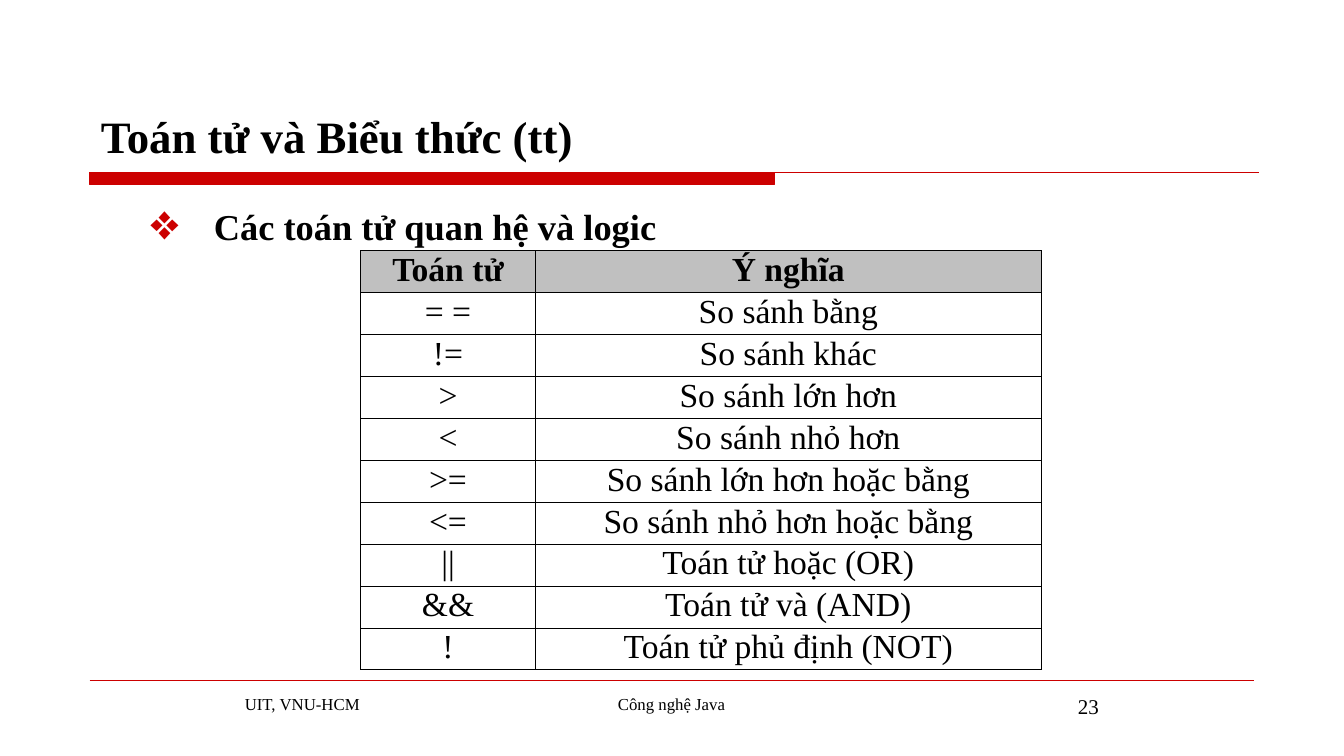
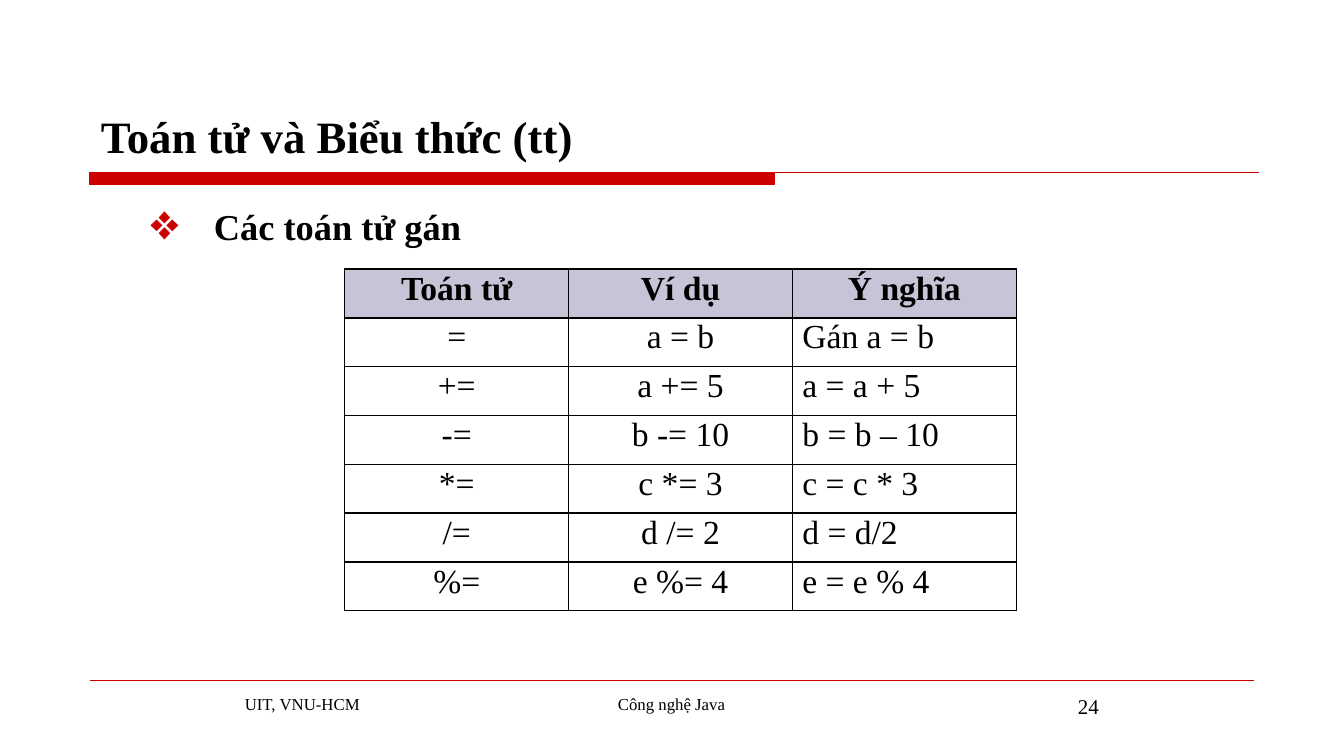
import pptx
import pptx.util
import pptx.dml.color
import pptx.enum.shapes
import pptx.enum.text
import pptx.oxml
import pptx.oxml.ns
import lxml.etree
from dataclasses import dataclass

Cm = pptx.util.Cm
Pt = pptx.util.Pt
Rgb = pptx.dml.color.RGBColor.from_string
Align = pptx.enum.text.PP_ALIGN
Anchor = pptx.enum.text.MSO_ANCHOR
qn = pptx.oxml.ns.qn


@dataclass(frozen=True)
class Theme:
    font: str = "Times New Roman"
    ink: str = "000000"
    red: str = "CC0000"
    gray: str = "C0C0C0"
    lilac: str = "C5C5D7"
    title: int = 32
    head: int = 26
    cell: int = 24
    page: int = 15
    foot: int = 12
    thin: float = 0.75
    thick: float = 1.08


THEME = Theme()


def apply(thing, values):
    for name, value in values.items():
        setattr(thing, name, value)


def place(shape, left, top, width, height):
    apply(shape, {"left": Cm(left), "top": Cm(top),
                  "width": Cm(width), "height": Cm(height)})


def write(frame, text, size, bold=False, align=Align.LEFT):
    frame.text = text
    line = frame.paragraphs[0]
    line.alignment = align
    font = line.runs[0].font
    apply(font, {"name": THEME.font, "size": Pt(size), "bold": bold})
    font.color.rgb = Rgb(THEME.ink)
    return line


def add_text(slide, box, text, size, **look):
    shape = slide.shapes.add_textbox(*map(Cm, box))
    shape.text_frame.word_wrap = True
    write(shape.text_frame, text, size, **look)
    return shape


def add_rule(slide, left, right, top):
    rule = slide.shapes.add_connector(
        pptx.enum.shapes.MSO_CONNECTOR.STRAIGHT,
        Cm(left), Cm(top), Cm(right), Cm(top))
    rule.line.color.rgb = Rgb(THEME.red)
    rule.line.width = Pt(THEME.thin)
    lxml.etree.SubElement(rule.element.spPr, qn("a:effectLst"))


def add_band(slide):
    band = slide.shapes.add_shape(
        pptx.enum.shapes.MSO_SHAPE.RECTANGLE,
        Cm(2.26), Cm(4.34), Cm(17.25), Cm(0.31))
    band.shadow.inherit = False
    band.fill.solid()
    band.fill.fore_color.rgb = Rgb(THEME.red)
    band.line.color.rgb = Rgb(THEME.red)
    band.line.width = Pt(THEME.thin)
    add_rule(slide, 2.26, 31.72, 4.34)


def add_title(slide, text):
    title = slide.shapes.title
    place(title, 2.29, 0.84, 29.54, 3.38)
    frame = title.text_frame
    apply(frame, {"vertical_anchor": Anchor.BOTTOM, "word_wrap": True,
                  "auto_size": pptx.enum.text.MSO_AUTO_SIZE.NONE})
    write(frame, text, THEME.title, bold=True)


def add_head(slide, text):
    shape = add_text(slide, (2.29, 5.03, 29.54, 1.3), text,
                     THEME.head, bold=True)
    props = next(shape.element.iter(qn("a:p"))).get_or_add_pPr()
    props.set("marL", str(Cm(2.85)))
    props.set("indent", str(-Cm(1.63)))
    tint = lxml.etree.SubElement(props, qn("a:buClr"))
    lxml.etree.SubElement(tint, qn("a:srgbClr"), val=THEME.red)
    lxml.etree.SubElement(props, qn("a:buSzPct"), val="108000")
    lxml.etree.SubElement(props, qn("a:buFont"), typeface=THEME.font)
    lxml.etree.SubElement(props, qn("a:buChar"), char="❖")


def add_foot(slide, page):
    add_rule(slide, 2.26, 31.6, 17.14)
    add_text(slide, (5.92, 17.35, 5.51, 1.32), "UIT, VNU-HCM", THEME.foot)
    add_text(slide, (12.9, 17.35, 8.05, 1.32), "Công nghệ Java",
             THEME.foot, align=Align.CENTER)
    add_text(slide, (22.43, 17.35, 5.51, 1.32), str(page),
             THEME.page, align=Align.RIGHT)


def edge(cell, widths):
    props = cell.get_or_add_tcPr()
    for side, width in widths.items():
        line = lxml.etree.SubElement(
            props, qn(f"a:ln{side}"), w=str(Pt(width)))
        fill = lxml.etree.SubElement(line, qn("a:solidFill"))
        lxml.etree.SubElement(fill, qn("a:srgbClr"), val=THEME.ink)


def add_grid(slide, rows, left, top, widths, height, fill, rim,
             space, inset, flush=()):
    count = len(widths)
    frame = slide.shapes.add_table(
        len(rows), count, Cm(left), Cm(top),
        Cm(sum(widths)), Cm(height * len(rows)))
    grid = frame.table
    apply(grid, {"first_row": False, "horz_banding": False})
    for col, width in zip(grid.columns, widths):
        col.width = Cm(width)
    for row in grid.rows:
        row.height = Cm(height)
    nodes = frame.element.iter(qn("a:tc"))
    texts = [text for row in rows for text in row]
    for index, (cell, node, text) in enumerate(
            zip(grid.iter_cells(), nodes, texts)):
        row, col = divmod(index, count)
        first = row == 0
        start = col in flush and not first
        edge(node, {"L": THEME.thin if col else rim,
                    "R": THEME.thin if col < count - 1 else rim,
                    "T": rim, "B": rim})
        apply(cell, {"margin_left": Cm(0.25 if start else 0.03),
                     "margin_right": Cm(0.03),
                     "margin_top": Cm(inset),
                     "margin_bottom": Cm(0.03),
                     "vertical_anchor": Anchor.TOP})
        if first:
            cell.fill.solid()
            cell.fill.fore_color.rgb = Rgb(fill)
        else:
            cell.fill.background()
        line = write(cell.text_frame, text, THEME.cell, bold=first,
                     align=Align.LEFT if start else Align.CENTER)
        line.line_spacing = space


LOGIC = [
    ("Toán tử", "Ý nghĩa"),
    ("= =", "So sánh bằng"),
    ("!=", "So sánh khác"),
    (">", "So sánh lớn hơn"),
    ("<", "So sánh nhỏ hơn"),
    (">=", "So sánh lớn hơn hoặc bằng"),
    ("<=", "So sánh nhỏ hơn hoặc bằng"),
    ("||", "Toán tử hoặc (OR)"),
    ("&&", "Toán tử và (AND)"),
    ("!", "Toán tử phủ định (NOT)"),
]

ASSIGN = [
    ("Toán tử", "Ví dụ", "Ý nghĩa"),
    ("=", "a = b", "Gán a = b"),
    ("+=", "a += 5", "a = a + 5"),
    ("-=", "b -= 10", "b = b – 10"),
    ("*=", "c *= 3", "c = c * 3"),
    ("/=", "d /= 2", "d = d/2"),
    ("%=", "e %= 4", "e = e % 4"),
]

PAGES = [
    ("Các toán tử quan hệ và logic",
     {"rows": LOGIC, "left": 9.09, "top": 6.32, "widths": (4.4, 12.75),
      "height": 1.05, "fill": THEME.gray, "rim": THEME.thin,
      "space": 0.93, "inset": 0.08}),
    ("Các toán tử gán",
     {"rows": ASSIGN, "left": 8.69, "top": 6.78, "widths": (5.64,) * 3,
      "height": 1.23, "fill": THEME.lilac, "rim": THEME.thick,
      "space": 0.98, "inset": 0.05, "flush": (2,)}),
]


def main():
    deck = pptx.Presentation()
    apply(deck, {"slide_width": Cm(33.87), "slide_height": Cm(19.05)})
    for page, (head, grid) in enumerate(PAGES, start=23):
        slide = deck.slides.add_slide(deck.slide_layouts[5])
        add_band(slide)
        add_title(slide, "Toán tử và Biểu thức (tt)")
        add_head(slide, head)
        add_grid(slide, **grid)
        add_foot(slide, page)
    deck.save("out.pptx")


if __name__ == "__main__":
    main()
